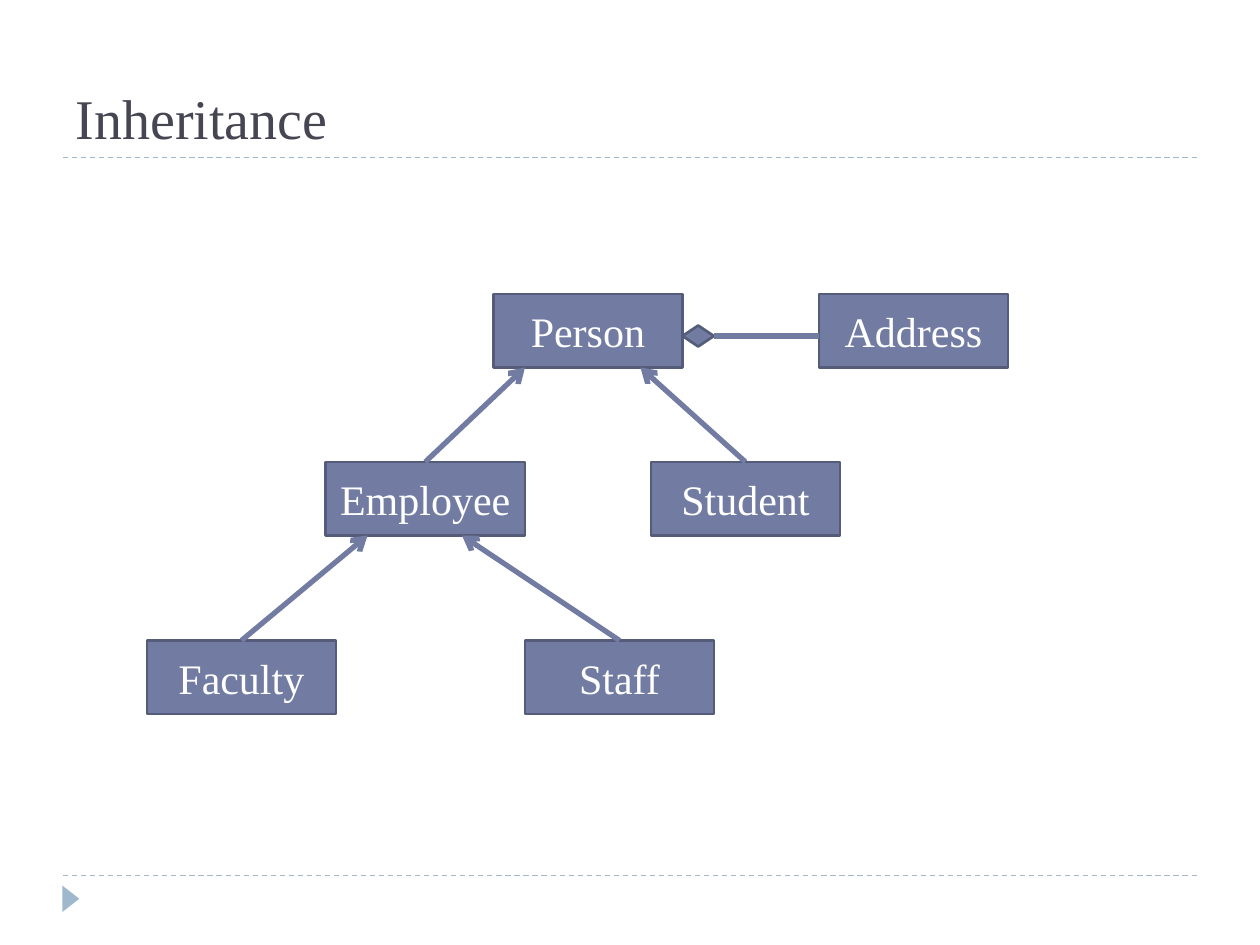
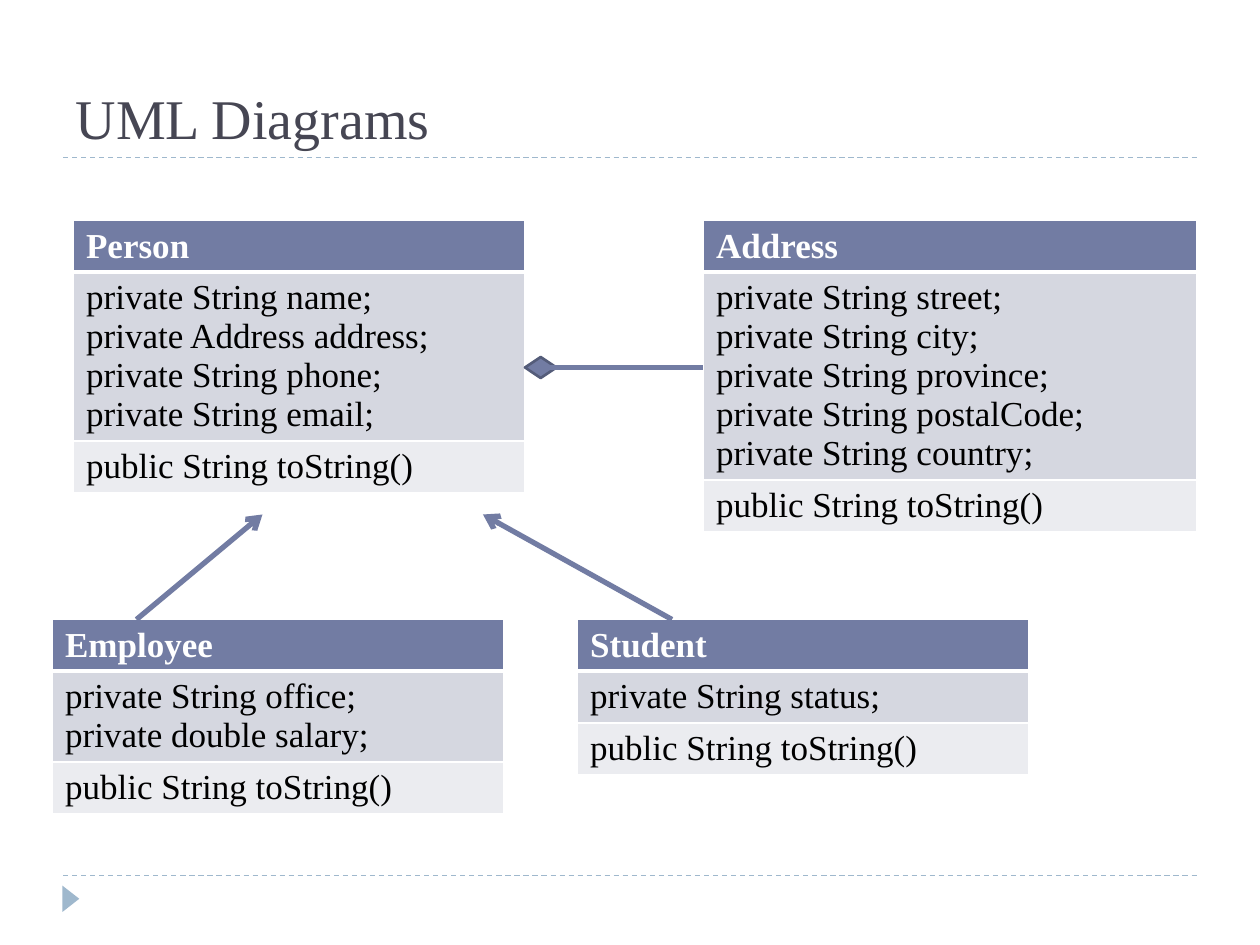
from dataclasses import dataclass

from lxml import etree
from pptx import Presentation
from pptx.dml.color import RGBColor as Rgb
from pptx.enum.dml import MSO_LINE as Dash
from pptx.enum.shapes import MSO_CONNECTOR as Link, MSO_SHAPE as Preset
from pptx.enum.text import MSO_ANCHOR as Anchor, PP_ALIGN as Align
from pptx.oxml.ns import qn
from pptx.util import Inches, Pt


@dataclass(frozen=True)
class Theme:
    font: str = "Times New Roman"
    title: str = "464653"
    rule: str = "9FB8CD"
    main: str = "727CA3"
    outline: str = "545C79"
    fields: str = "D5D7E0"
    methods: str = "EBECF0"
    light: str = "FFFFFF"
    dark: str = "000000"
    title_size: float = 32
    node_size: float = 24
    member_size: float = 20
    rule_width: float = 0.75
    outline_width: float = 1.5
    link_width: float = 3
    border_width: float = 1
    header_border: float = 3


@dataclass(frozen=True)
class Box:
    col: float
    row: float
    cols: float
    rows: float

    def inside(self, col, row, cols, rows):
        return Box(self.col + col, self.row + row, cols, rows)

    def at(self, across, down):
        return self.col + self.cols * across, self.row + self.rows * down

    def emu(self):
        return [unit(n) for n in (self.col, self.row, self.cols, self.rows)]


THEME = Theme()
COLUMNS, ROWS = 120, 90
WIDTH, HEIGHT = Inches(10), Inches(7.5)
PAGE = Box(0, 0, COLUMNS, ROWS)
MARGIN = 6
TITLE_RULE, FOOTER_RULE = 15, 83.4


def unit(count):
    return int(WIDTH * count / COLUMNS)


def write(paragraph, words, size, color, bold=False):
    run = paragraph.add_run()
    run.text = words
    run.font.name = THEME.font
    run.font.size = Pt(size)
    run.font.bold = bold
    run.font.color.rgb = Rgb.from_string(color)


def add_line(slide, start, end, color, width, dash=None, arrow=False):
    link = slide.shapes.add_connector(
        Link.STRAIGHT, *[unit(n) for n in (*start, *end)])
    link.line.color.rgb = Rgb.from_string(color)
    link.line.width = Pt(width)
    if dash:
        link.line.dash_style = dash
    properties = link.element.spPr
    if arrow:
        etree.SubElement(properties.find(qn("a:ln")), qn("a:tailEnd"), type="arrow")
    etree.SubElement(properties, qn("a:effectLst"))
    return link


def add_preset(slide, preset, box, fill, outline=None):
    shape = slide.shapes.add_shape(preset, *box.emu())
    shape.shadow.inherit = False
    shape.fill.solid()
    shape.fill.fore_color.rgb = Rgb.from_string(fill)
    if outline:
        shape.line.color.rgb = Rgb.from_string(outline)
        shape.line.width = Pt(THEME.outline_width)
    else:
        shape.line.fill.background()
    return shape


def decorate_layout(layout, slide, page):
    rules = [
        add_line(slide, (page.col + MARGIN, row), (page.col + page.cols - MARGIN, row),
                 THEME.rule, THEME.rule_width, Dash.DASH)
        for row in (FOOTER_RULE, TITLE_RULE)
    ]
    marker = add_preset(slide, Preset.ISOSCELES_TRIANGLE,
                        page.inside(5.5, 84.8, 2.5, 1.6), THEME.rule)
    marker.rotation = 90
    for number, part in enumerate([*rules, marker], start=20):
        part.element.find(".//" + qn("p:cNvPr")).set("id", str(number))
        layout.shapes.element.append(part.element)


def place_title(slide, words, box):
    title = slide.shapes.title
    title.left, title.top, title.width, title.height = box.emu()
    frame = title.text_frame
    frame.word_wrap = True
    frame.vertical_anchor = Anchor.BOTTOM
    frame.paragraphs[0].alignment = Align.LEFT
    write(frame.paragraphs[0], words, THEME.title_size, THEME.title)


def add_class_node(slide, words, box):
    node = add_preset(slide, Preset.RECTANGLE, box, THEME.main, THEME.outline)
    frame = node.text_frame
    frame.vertical_anchor = Anchor.MIDDLE
    frame.paragraphs[0].alignment = Align.CENTER
    write(frame.paragraphs[0], words, THEME.node_size, THEME.light)


def add_inheritance(slide, child, parent):
    add_line(slide, child, parent, THEME.main, THEME.link_width, arrow=True)


def add_aggregation(slide, owner, part, overlap=0):
    col, row = owner
    add_preset(slide, Preset.FLOWCHART_DECISION, Box(col, row - 1, 3, 2),
               THEME.main, THEME.outline)
    add_line(slide, (col + 3 - overlap, row), part, THEME.main, THEME.link_width)


def draw_hierarchy(slide, area):
    places = {
        "Person": (33, 0, 18), "Employee": (17, 16, 19), "Student": (48, 16, 18),
        "Faculty": (0, 33, 18), "Staff": (36, 33, 18), "Address": (64, 0, 18),
    }
    nodes = {name: area.inside(col, row, cols, 7)
             for name, (col, row, cols) in places.items()}
    for name, box in nodes.items():
        add_class_node(slide, name, box)
    for child, parent, offset in (
        ("Employee", "Person", 3), ("Student", "Person", 14),
        ("Faculty", "Employee", 4), ("Staff", "Employee", 13),
    ):
        target = nodes[parent]
        add_inheritance(slide, nodes[child].at(0.5, 0),
                        (target.col + offset, target.row + target.rows))
    owner, part = nodes["Person"], nodes["Address"]
    add_aggregation(slide, (owner.col + owner.cols, owner.row + 4),
                    (part.col, part.row + 4))


def set_borders(cell, top, bottom):
    properties = cell._tc.get_or_add_tcPr()
    widths = {"lnL": THEME.border_width, "lnR": THEME.border_width,
              "lnT": top, "lnB": bottom}
    for position, (side, width) in enumerate(widths.items()):
        border = etree.Element(qn("a:" + side), w=str(Pt(width)))
        fill = etree.SubElement(border, qn("a:solidFill"))
        etree.SubElement(fill, qn("a:srgbClr"), val=THEME.light)
        properties.insert(position, border)


def add_class_table(slide, name, fields, box):
    thin, thick = THEME.border_width, THEME.header_border
    sections = (
        ([name], THEME.main, THEME.light, True, thin, thick),
        (fields, THEME.fields, THEME.dark, False, thick, thin),
        (["public String toString()"], THEME.methods, THEME.dark, False, thin, thin),
    )
    table = slide.shapes.add_table(len(sections), 1, *box.emu()).table
    for index, (lines, fill, color, bold, top, bottom) in enumerate(sections):
        table.rows[index].height = Inches(0.1 + 0.31 * len(lines))
        cell = table.cell(index, 0)
        cell.fill.solid()
        cell.fill.fore_color.rgb = Rgb.from_string(fill)
        set_borders(cell, top, bottom)
        frame = cell.text_frame
        for number, line in enumerate(lines):
            paragraph = frame.add_paragraph() if number else frame.paragraphs[0]
            write(paragraph, line, THEME.member_size, color, bold)


def draw_uml(slide, area):
    classes = {
        "Person": (2, 0, 43, ["private String name;", "private Address address;",
                              "private String phone;", "private String email;"]),
        "Address": (62, 0, 47, ["private String street;", "private String city;",
                                "private String province;",
                                "private String postalCode;",
                                "private String country;"]),
        "Employee": (0, 38, 43, ["private String office;", "private double salary;"]),
        "Student": (50, 38, 43, ["private String status;"]),
    }
    for name, (col, row, cols, fields) in classes.items():
        add_class_table(slide, name, fields, area.inside(col, row, cols, 15))
    owner_edge, part_edge = area.col + 45, area.col + 62
    add_aggregation(slide, (owner_edge, area.row + 14),
                    (part_edge, area.row + 14), overlap=1)
    for child_col, parent_col in ((8, 20), (59, 41)):
        add_inheritance(slide, (area.col + child_col, area.row + 38),
                        (area.col + parent_col, area.row + 28))


def build():
    deck = Presentation()
    deck.slide_width, deck.slide_height = WIDTH, HEIGHT
    layout = deck.slide_layouts[5]
    pages = (
        ("Inheritance", 2, draw_hierarchy, PAGE.inside(14, 28, 82, 40)),
        ("UML Diagrams", 5, draw_uml, PAGE.inside(5, 21, 109, 58)),
    )
    for number, (title, top, draw, area) in enumerate(pages):
        slide = deck.slides.add_slide(layout)
        if number == 0:
            decorate_layout(layout, slide, PAGE)
        place_title(slide, title,
                    PAGE.inside(MARGIN, top, COLUMNS - 2 * MARGIN, TITLE_RULE - top))
        draw(slide, area)
    deck.save("out.pptx")


build()
